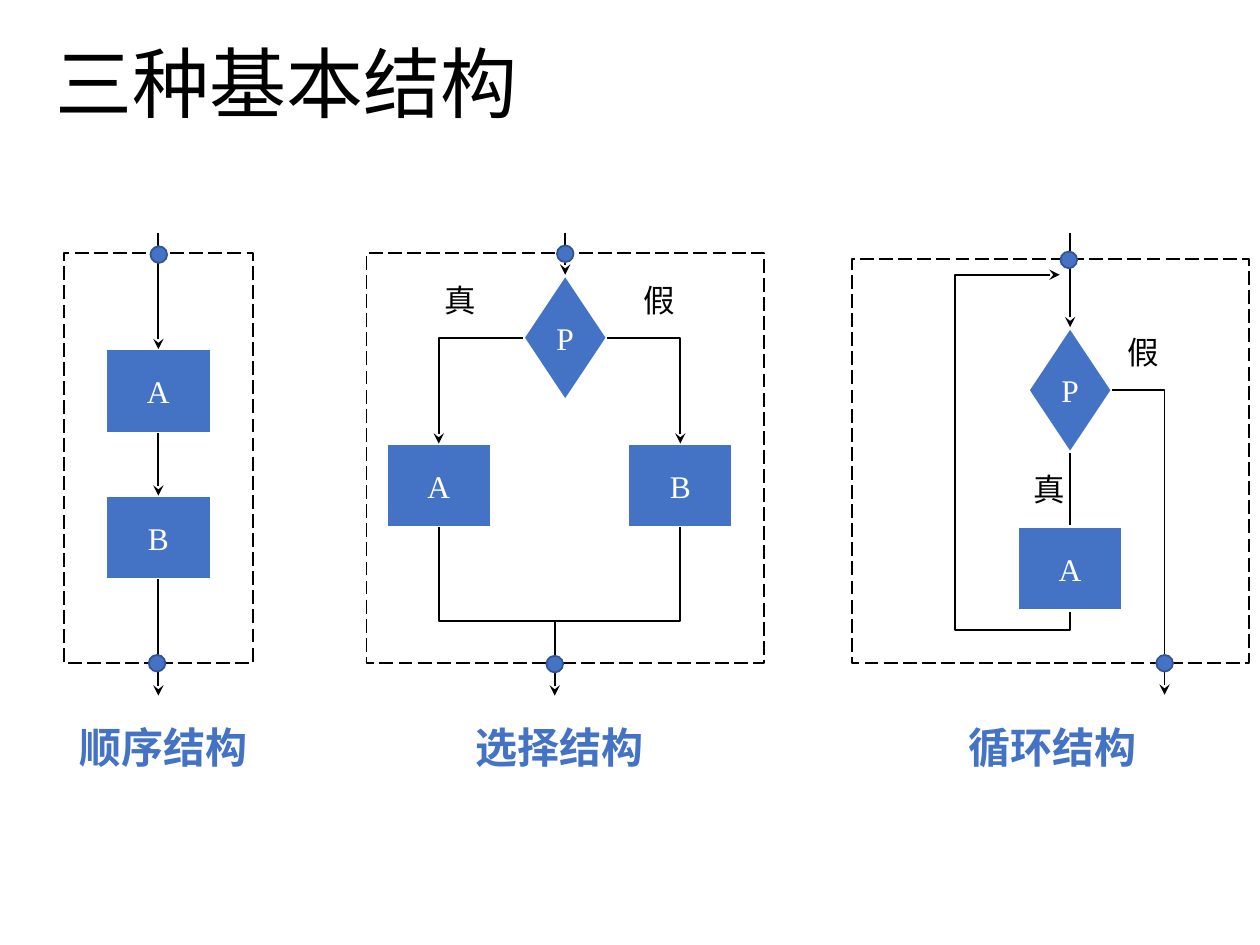
import pptx
import pptx.util
import pptx.dml.color
import pptx.enum.dml
import pptx.enum.shapes
import pptx.enum.text
import pptx.oxml
from dataclasses import dataclass

Pt = pptx.util.Pt
SHAPES = pptx.enum.shapes.MSO_SHAPE
ALIGN = pptx.enum.text.PP_ALIGN
ANCHOR = pptx.enum.text.MSO_ANCHOR
DRAWING_NS = 'xmlns:a="http://schemas.openxmlformats.org/drawingml/2006/main"'


@dataclass(frozen=True)
class Theme:
    ink: str = "000000"
    paper: str = "FFFFFF"
    accent: str = "4472C4"
    accent_dark: str = "325491"
    title_font: str = "Calibri"
    caption_font: str = "Arial"
    chart_font: str = "Times New Roman"
    title_size: float = 44
    caption_size: float = 24
    label_size: float = 18
    thin: float = 1
    thick: float = 1.5


class FlowSlide:
    """Holds the theme and the current page; all lengths are in points."""

    block_size = (60, 48)
    diamond_size = (48, 72)
    dot_size = 9.5

    def __init__(self, page, theme):
        self.page, self.theme = page, theme

    @staticmethod
    def apply(target, values):
        for name, value in values.items():
            setattr(target, name, value)

    @staticmethod
    def color(value):
        return pptx.dml.color.RGBColor.from_string(value)

    def fill_text(self, frame, text, font, size, color, align=ALIGN.CENTER, **frame_values):
        self.apply(frame, frame_values)
        para = frame.paragraphs[0]
        para.alignment = align
        span = para.add_run()
        span.text = text
        self.apply(span.font, {"name": font, "size": Pt(size)})
        span.font.color.rgb = self.color(color)
        return para, span

    def stroke(self, line, color, width):
        line.color.rgb = self.color(color)
        line.width = Pt(width)

    def title(self, text, left, top, width, height):
        box = self.page.shapes.title
        self.apply(box, {"left": Pt(left), "top": Pt(top),
                         "width": Pt(width), "height": Pt(height)})
        para, _ = self.fill_text(box.text_frame, text, self.theme.title_font,
                                 self.theme.title_size, self.theme.ink, ALIGN.LEFT,
                                 vertical_anchor=ANCHOR.MIDDLE)
        para.line_spacing = 0.9

    def shape(self, kind, left, top, width, height, fill, line, line_width):
        box = self.page.shapes.add_shape(kind, Pt(left), Pt(top), Pt(width), Pt(height))
        box.shadow.inherit = False
        if fill:
            box.fill.solid()
            box.fill.fore_color.rgb = self.color(fill)
        else:
            box.fill.background()
        self.stroke(box.line, line, line_width)
        return box

    def node(self, text, center, top, kind, size):
        box = self.shape(kind, center - size[0] / 2, top, *size,
                         self.theme.accent, self.theme.paper, self.theme.thick)
        self.fill_text(box.text_frame, text, self.theme.chart_font, self.theme.label_size,
                       self.theme.paper, word_wrap=False, vertical_anchor=ANCHOR.MIDDLE)

    def block(self, text, center, top):
        self.node(text, center, top, SHAPES.RECTANGLE, self.block_size)

    def decision(self, text, center, top):
        self.node(text, center, top, SHAPES.DIAMOND, self.diamond_size)

    def frame(self, left, top, width, height):
        box = self.shape(SHAPES.RECTANGLE, left, top, width, height,
                         None, self.theme.ink, self.theme.thin)
        box.line.dash_style = pptx.enum.dml.MSO_LINE.LONG_DASH

    def dot(self, center, middle):
        half = self.dot_size / 2
        self.shape(SHAPES.FLOWCHART_CONNECTOR, center - half, middle - half,
                   self.dot_size, self.dot_size, self.theme.accent,
                   self.theme.accent_dark, self.theme.thin)

    def text(self, text, left, top, width, height, font, size, color, bold=False):
        box = self.page.shapes.add_textbox(Pt(left), Pt(top), Pt(width), Pt(height))
        _, span = self.fill_text(box.text_frame, text, font, size, color, word_wrap=True)
        span.font.bold = bold

    def caption(self, text, left):
        self.text(text, left, 409, 138, 37, self.theme.caption_font,
                  self.theme.caption_size, self.theme.accent, True)

    def label(self, text, left, top):
        self.text(text, left, top, 36, 29, self.theme.chart_font,
                  self.theme.label_size, self.theme.ink)

    def flow(self, *points, arrow=True):
        """A straight connector for two points, an open outline for more."""
        places = [(Pt(x), Pt(y)) for x, y in points]
        if len(places) == 2:
            route = self.page.shapes.add_connector(
                pptx.enum.shapes.MSO_CONNECTOR.STRAIGHT, *places[0], *places[1])
            route._element.spPr.append(
                pptx.oxml.parse_xml(f"<a:effectLst {DRAWING_NS}/>"))
        else:
            builder = self.page.shapes.build_freeform(*places[0])
            builder.add_line_segments(places[1:], close=False)
            route = builder.convert_to_shape()
            route.shadow.inherit = False
            route.fill.background()
        self.stroke(route.line, self.theme.ink, self.theme.thin)
        if arrow:
            route.line._get_or_add_ln().append(
                pptx.oxml.parse_xml(f'<a:tailEnd {DRAWING_NS} type="stealth"/>'))


def draw_sequence(chart):
    center = 90.5
    chart.block("A", center, 199.5)
    chart.block("B", center, 283.25)
    for start, end in ((133, 199.5), (247.5, 283.25), (331, 397.5)):
        chart.flow((center, start), (center, end))
    chart.frame(36.5, 144.5, 108, 234.5)
    chart.caption("顺序结构", 24.5)
    chart.dot(90.75, 145.5)
    chart.dot(89.75, 379)


def draw_selection(chart):
    left, center, right, exit_center = 250.75, 323, 388.75, 317
    chart.decision("P", center, 157)
    chart.flow((center, 133), (center, 157))
    for text, word, x, side, word_left in (("A", "真", left, -24, 245),
                                           ("B", "假", right, 24, 358.5)):
        chart.block(text, x, 253.5)
        chart.flow((center + side, 193), (x, 193), (x, 253.5))
        chart.label(word, word_left, 157)
    chart.flow((left, 301), (left, 355), (right, 355), (right, 301), arrow=False)
    chart.flow((exit_center, 355), (exit_center, 397.5))
    chart.caption("选择结构", 250.5)
    chart.frame(209.5, 144.5, 227, 234.5)
    chart.dot(center, 145)
    chart.dot(exit_center, 379.5)


def draw_loop(chart):
    center, back, exit_center = 611.5, 545.75, 665.5
    chart.decision("P", center, 187)
    chart.flow((center, 259), (center, 301), arrow=False)
    chart.flow((center + 24, 223), (exit_center, 223), (exit_center, 397))
    chart.label("假", 635.5, 187)
    chart.flow((center, 336), (center, 360), (back, 360), (back, 157), (605.5, 157))
    chart.flow((center, 133), (center, 187))
    chart.label("真", 581.5, 265)
    chart.caption("循环结构", 532.5)
    chart.frame(486.75, 148, 227, 231)
    chart.dot(610.75, 148.5)
    chart.dot(exit_center, 379)
    chart.block("A", center, 301)


def main():
    deck = pptx.Presentation()
    deck.slide_width, deck.slide_height = Pt(720), Pt(540)
    page = deck.slides.add_slide(deck.slide_layouts[5])
    chart = FlowSlide(page, Theme())
    chart.title("三种基本结构", 24.5, 8.5, 620.5, 83)
    draw_sequence(chart)
    draw_selection(chart)
    draw_loop(chart)
    deck.save("out.pptx")


if __name__ == "__main__":
    main()
